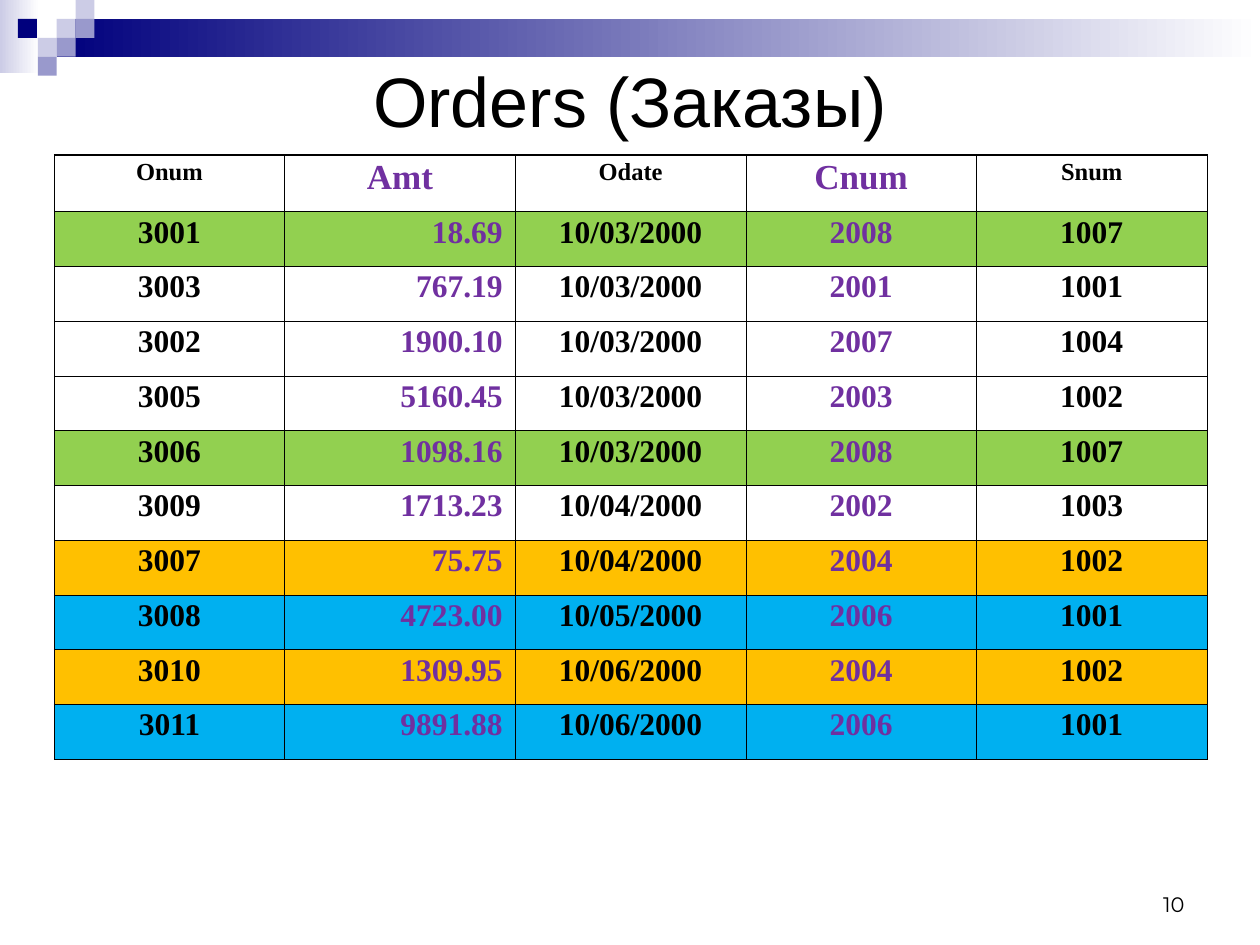
from lxml import etree
from pptx import Presentation
from pptx.dml.color import RGBColor
from pptx.enum.shapes import MSO_SHAPE
from pptx.enum.text import MSO_ANCHOR, PP_ALIGN
from pptx.oxml.ns import qn
from pptx.util import Inches, Pt

RECTANGLE = MSO_SHAPE.RECTANGLE
CENTER, RIGHT = PP_ALIGN.CENTER, PP_ALIGN.RIGHT
MIDDLE, BOTTOM = MSO_ANCHOR.MIDDLE, MSO_ANCHOR.BOTTOM

WIDTH, HEIGHT, TILE = 10, 7.5, 0.15
BLACK, WHITE, PURPLE = "000000", "FFFFFF", "7030A0"
NAVY, LILAC, PALE = "00007D", "9999CC", "CCCCE6"
GREEN, AMBER, SKY = "92D050", "FFC000", "00B0F0"
THIN, THICK = 0.45, 0.96

TILES = [
    (3, 1, PALE), (4, 0, PALE), (4, 1, LILAC), (2, 2, PALE),
    (0.95, 1, NAVY), (3, 2, LILAC), (2, 3, LILAC),
]
HEADER = ["Onum", "Amt", "Odate", "Cnum", "Snum"]
KEY_COLUMNS = {"Amt", "Cnum"}
ORDERS = [
    ["3001", "18.69", "10/03/2000", "2008", "1007"],
    ["3003", "767.19", "10/03/2000", "2001", "1001"],
    ["3002", "1900.10", "10/03/2000", "2007", "1004"],
    ["3005", "5160.45", "10/03/2000", "2003", "1002"],
    ["3006", "1098.16", "10/03/2000", "2008", "1007"],
    ["3009", "1713.23", "10/04/2000", "2002", "1003"],
    ["3007", "75.75", "10/04/2000", "2004", "1002"],
    ["3008", "4723.00", "10/05/2000", "2006", "1001"],
    ["3010", "1309.95", "10/06/2000", "2004", "1002"],
    ["3011", "9891.88", "10/06/2000", "2006", "1001"],
]
CUSTOMER_FILLS = {"2008": GREEN, "2004": AMBER, "2006": SKY}


def color(hex_text):
    return RGBColor.from_string(hex_text)


def write(frame, text, font, size, ink=BLACK, align=CENTER, bold=False, spacing=1.0):
    para = frame.paragraphs[0]
    para.alignment = align
    para.line_spacing = spacing
    span = para.add_run()
    span.text = text
    span.font.name = font
    span.font.size = Pt(size)
    span.font.bold = bold
    span.font.color.rgb = color(ink)


def draw_borders(cell, top, bottom):
    properties = cell._tc.get_or_add_tcPr()
    for side, width in (("L", THIN), ("R", THIN), ("T", top), ("B", bottom)):
        line = etree.SubElement(properties, qn(f"a:ln{side}"), w=str(Pt(width)))
        fill = etree.SubElement(line, qn("a:solidFill"))
        etree.SubElement(fill, qn("a:srgbClr"), val=BLACK)


class SlideBuilder:
    title_font = "Arial"
    table_font = "Times New Roman"
    number_font = "Montserrat"

    def __init__(self, deck):
        self.slide = deck.slides.add_slide(deck.slide_layouts[6])

    def share(self, left, top, width, height):
        return (Inches(left * WIDTH), Inches(top * HEIGHT),
                Inches(width * WIDTH), Inches(height * HEIGHT))

    def block(self, column, row, columns, rows, start, end=None):
        bounds = [Inches(cells * TILE) for cells in (column, row, columns, rows)]
        shape = self.slide.shapes.add_shape(RECTANGLE, *bounds)
        shape.shadow.inherit = False
        shape.line.fill.background()
        if end is None:
            shape.fill.solid()
            shape.fill.fore_color.rgb = color(start)
            return
        shape.fill.gradient()
        shape.fill.gradient_angle = 0
        for stop, position, tone in zip(shape.fill.gradient_stops, (0, 1), (start, end)):
            stop.position = position
            stop.color.rgb = color(tone)

    def label(self, text, bounds, anchor, **style):
        box = self.slide.shapes.add_textbox(*self.share(*bounds))
        box.text_frame.word_wrap = True
        box.text_frame.vertical_anchor = anchor
        write(box.text_frame, text, **style)

    def table(self, header, orders, bounds):
        rows = [header] + orders
        table = self.slide.shapes.add_table(
            len(rows), len(header), *self.share(*bounds)).table
        table.first_row = table.horz_banding = False
        for index, values in enumerate(rows):
            table.rows[index].height = Inches(0.435 if index else 0.45)
            fill = CUSTOMER_FILLS.get(values[3])
            for column, value in enumerate(values):
                cell = table.cell(index, column)
                is_key = header[column] in KEY_COLUMNS
                head_size = 20 if is_key else 14
                is_amount = index > 0 and header[column] == "Amt"
                write(cell.text_frame, value, self.table_font,
                      18 if index else head_size,
                      ink=PURPLE if is_key else BLACK,
                      align=RIGHT if is_amount else CENTER, bold=True, spacing=0.9)
                draw_borders(cell, THICK if index < 2 else THIN,
                             THIN if index else THICK)
                if fill:
                    cell.fill.solid()
                    cell.fill.fore_color.rgb = color(fill)
                else:
                    cell.fill.background()


def main():
    deck = Presentation()
    deck.slide_width, deck.slide_height = Inches(WIDTH), Inches(HEIGHT)
    page = SlideBuilder(deck)
    page.block(0, 0, 2.07, 3.87, PALE, WHITE)
    page.block(3, 1, WIDTH / TILE - 3, 2, NAVY, WHITE)
    for column, row, tone in TILES:
        page.block(column, row, 1, 1, tone)
    page.label("Orders (Заказы)", (0.05, 0.05, 0.9, 0.11), MIDDLE,
               font=page.title_font, size=40)
    page.table(HEADER, ORDERS, (0.043, 0.164, 0.915, 0.64))
    page.label("10", (0.717, 0.91, 0.233, 0.067), BOTTOM,
               font=page.number_font, size=12, align=RIGHT)
    deck.save("out.pptx")


if __name__ == "__main__":
    main()
